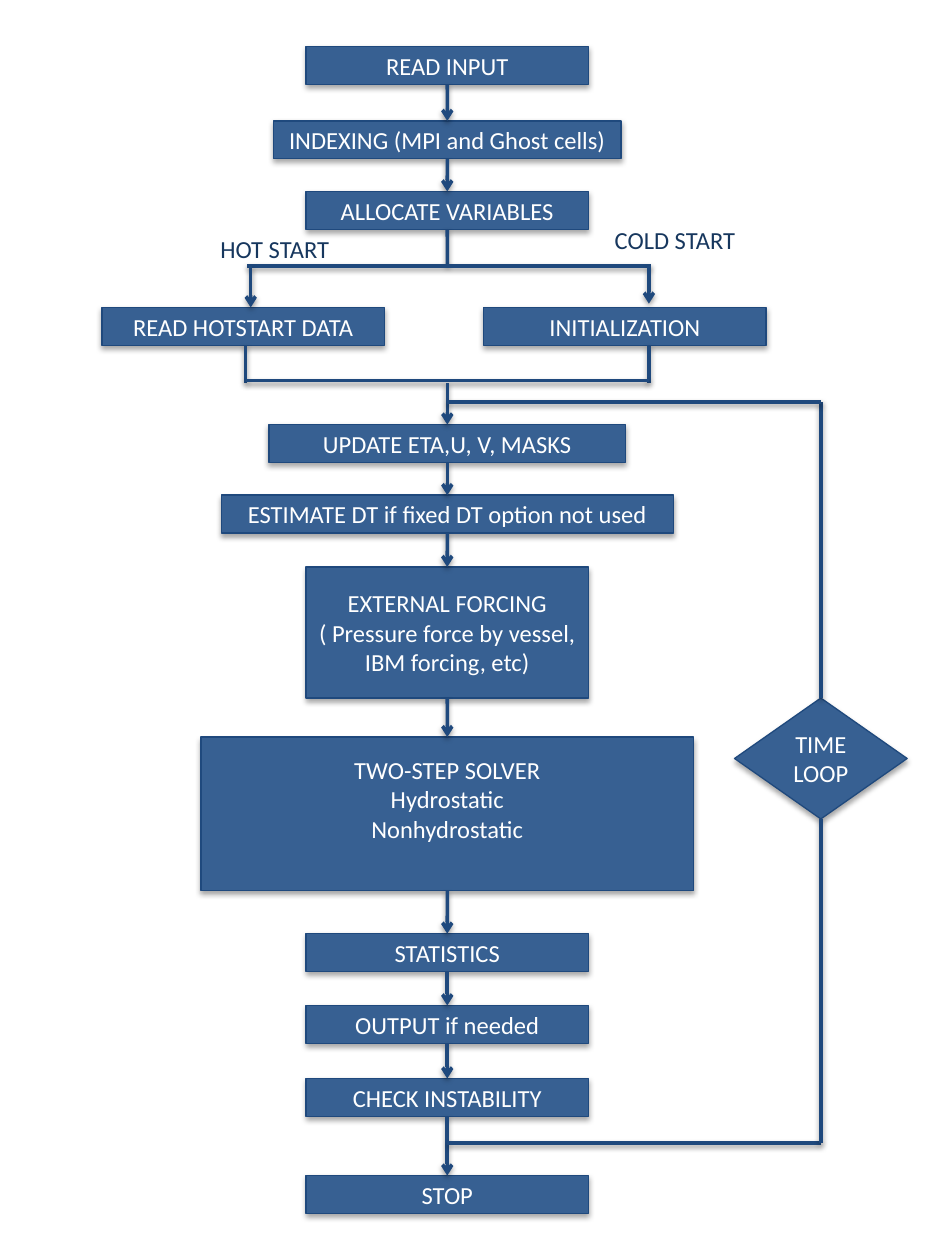
from dataclasses import dataclass
from itertools import pairwise

from lxml.etree import SubElement
from pptx import Presentation
from pptx.dml.color import RGBColor
from pptx.enum.shapes import MSO_CONNECTOR, MSO_SHAPE
from pptx.enum.text import MSO_ANCHOR, MSO_AUTO_SIZE, PP_ALIGN
from pptx.oxml.ns import qn
from pptx.util import Inches, Pt

TOP, BOTTOM = 0, 2


@dataclass(frozen=True)
class Theme:
    """Colours, type and line sizes of the flowchart."""
    font: str = "Calibri"
    size: float = 14
    fill: RGBColor = RGBColor(0x37, 0x60, 0x92)
    line: RGBColor = RGBColor(0x1F, 0x49, 0x7D)
    label: RGBColor = RGBColor(0x17, 0x37, 0x5E)
    text: RGBColor = RGBColor(0xFF, 0xFF, 0xFF)
    border: float = 0.75
    flow: float = 2
    step_width: float = 22.4
    step_height: float = 3


@dataclass(frozen=True)
class Box:
    """A region measured in columns and rows of the 75 by 100 grid."""
    left: float
    top: float
    width: float
    height: float

    def at(self, column, row):
        """Return the grid point at an offset from the region's corner."""
        return self.left + column, self.top + row

    def inner(self, column, row, width, height):
        """Return a smaller box at an offset from the region's corner."""
        return Box(*self.at(column, row), width, height)

    def centred(self, row, width, height):
        """Return a smaller box centred across the region."""
        return self.inner((self.width - width) / 2, row, width, height)

    def emu(self):
        """Return the box as slide lengths."""
        return [grid(n) for n in (self.left, self.top, self.width, self.height)]


THEME = Theme()


def grid(units):
    """Turn grid units into a slide length."""
    return Inches(units / 10)


def add_shadow(effects, opacity, distance):
    """Add a soft shadow falling straight down."""
    shadow = SubElement(effects, qn("a:outerShdw"), blurRad=str(Pt(3.1)),
                        dist=str(Pt(distance)), dir="5400000", rotWithShape="0")
    colour = SubElement(shadow, qn("a:srgbClr"), val="000000")
    SubElement(colour, qn("a:alpha"), val=str(opacity * 1000))


def write(paragraph, words, colour):
    """Add one formatted run to a paragraph."""
    run = paragraph.add_run()
    run.text = words
    run.font.name = THEME.font
    run.font.size = Pt(THEME.size)
    run.font.color.rgb = colour


def add_step(slide, box, *lines, kind=MSO_SHAPE.RECTANGLE, lift=0):
    """Draw one filled step with centred text above a deeper bottom margin."""
    step = slide.shapes.add_shape(kind, *box.emu())
    step.shadow.inherit = False
    step.fill.solid()
    step.fill.fore_color.rgb = THEME.fill
    step.line.color.rgb = THEME.line
    step.line.width = Pt(THEME.border)
    add_shadow(step.element.spPr.find(qn("a:effectLst")), 35, 1.8)
    frame = step.text_frame
    frame.word_wrap = True
    frame.vertical_anchor = MSO_ANCHOR.MIDDLE
    frame.margin_bottom = Pt(3.6 + lift)
    for index, line in enumerate(lines):
        paragraph = frame.add_paragraph() if index else frame.paragraphs[0]
        paragraph.alignment = PP_ALIGN.CENTER
        write(paragraph, line, THEME.text)
    return step


def add_label(slide, box, words):
    """Write an unwrapped branch label."""
    frame = slide.shapes.add_textbox(*box.emu()).text_frame
    frame.word_wrap = False
    frame.auto_size = MSO_AUTO_SIZE.SHAPE_TO_FIT_TEXT
    write(frame.paragraphs[0], words, THEME.label)


def add_flow(slide, begin=(0, 0), end=(0, 0), source=None, target=None, arrow=False):
    """Draw a flow line between points or joined step sides."""
    ends = [grid(n) for n in (*begin, *end)]
    flow = slide.shapes.add_connector(MSO_CONNECTOR.STRAIGHT, *ends)
    if source:
        flow.begin_connect(*source)
    if target:
        flow.end_connect(*target)
    flow.line.color.rgb = THEME.line
    flow.line.width = Pt(THEME.flow)
    properties = flow.element.spPr
    if arrow:
        SubElement(properties.find(qn("a:ln")), qn("a:tailEnd"), type="arrow")
    add_shadow(SubElement(properties, qn("a:effectLst")), 38, 1.6)


def add_sequence(slide, box, steps):
    """Stack centred steps and join each to the next."""
    drawn = [add_step(slide, box.centred(row, width, height), *lines, lift=lift)
             for row, width, height, lift, lines in steps]
    for upper, lower in pairwise(drawn):
        add_flow(slide, source=(upper, BOTTOM), target=(lower, TOP), arrow=True)
    return drawn


def draw_setup(slide, box):
    """Draw the input steps and return the last one."""
    width, height = THEME.step_width, THEME.step_height
    return add_sequence(slide, box, [
        (0, width, height, 0, ["READ INPUT"]),
        (5.9, box.width, height, 0, ["INDEXING (MPI and Ghost cells)"]),
        (11.5, width, height, 0, ["ALLOCATE VARIABLES"]),
    ])[-1]


def draw_start_branch(slide, box, allocate):
    """Draw the hot and cold starts between their fork and merge lines."""
    width, height = THEME.step_width, THEME.step_height
    fork, steps, merge = 3.7, 7, 12.8
    hot_fork, hot_merge, cold, spine = 11.8, 11.4, 43.4, 27.4
    add_step(slide, box.inner(0, steps, width, height), "READ HOTSTART DATA")
    add_step(slide, box.inner(box.width - width, steps, width, height), "INITIALIZATION")
    add_flow(slide, end=box.at(spine, fork), source=(allocate, BOTTOM))
    add_flow(slide, box.at(hot_fork - 0.3, fork), box.at(cold + 0.2, fork))
    add_flow(slide, box.at(hot_fork, fork), box.at(hot_fork, steps), arrow=True)
    add_flow(slide, box.at(cold, fork), box.at(cold, steps - 0.3), arrow=True)
    for side in (hot_merge, cold):
        add_flow(slide, box.at(side, steps + height), box.at(side, box.height))
    add_flow(slide, box.at(hot_merge, merge), box.at(cold, merge))
    add_label(slide, box.inner(8.4, 0.7, 11, 3.4), "HOT START")
    add_label(slide, box.inner(39.7, 0, 11.9, 3.4), "COLD START")


def draw_time_step(slide, box, entry):
    """Draw the steps of one time step, entered from a point above."""
    width, height = THEME.step_width, THEME.step_height
    solver = ["TWO-STEP SOLVER", "Hydrostatic", "Nonhydrostatic"]
    forcing = "EXTERNAL FORCING ( Pressure force by vessel, IBM forcing, etc)"
    update = add_sequence(slide, box, [
        (0, 28.3, height, 0, ["UPDATE ETA,U, V, MASKS"]),
        (5.6, 35.9, height, 0, ["ESTIMATE DT if fixed DT option not used"]),
        (11.3, width, 10.4, 0, [forcing]),
        (24.8, box.width, 12.2, 17, solver),
        (40.4, width, height, 0, ["STATISTICS"]),
        (46.1, width, height, 0, ["OUTPUT if needed"]),
        (51.9, width, height, 0, ["CHECK INSTABILITY"]),
        (59.6, width, height, 0, ["STOP"]),
    ])[0]
    add_flow(slide, begin=entry, target=(update, TOP), arrow=True)


def draw_time_loop(slide, box):
    """Draw the return route through the time loop decision."""
    width, height = 13.7, 9.6
    decision = box.inner(box.width - width, 23.5, width, height)
    loop = add_step(slide, decision, "TIME LOOP", kind=MSO_SHAPE.DIAMOND)
    rail = box.width - width / 2
    foot, head = box.at(rail, box.height), box.at(rail, 0)
    add_flow(slide, box.at(0, box.height), foot)
    add_flow(slide, begin=foot, target=(loop, BOTTOM))
    add_flow(slide, end=head, source=(loop, TOP))
    add_flow(slide, head, box.at(0, 0))


def main():
    """Build the flowchart slide and save it."""
    deck = Presentation()
    deck.slide_width, deck.slide_height = grid(75), grid(100)
    slide = deck.slides.add_slide(deck.slide_layouts[6])
    allocate = draw_setup(slide, Box(21.7, 3.7, 27.6, 14.5))
    branch = Box(8.1, 17.4, 52.7, 13)
    draw_start_branch(slide, branch, allocate)
    draw_time_step(slide, Box(15.95, 33.7, 39.1, 62.6), branch.at(27.4, branch.height))
    draw_time_loop(slide, Box(35.5, 31.9, 36.5, 58.8))
    deck.save("out.pptx")


if __name__ == "__main__":
    main()
